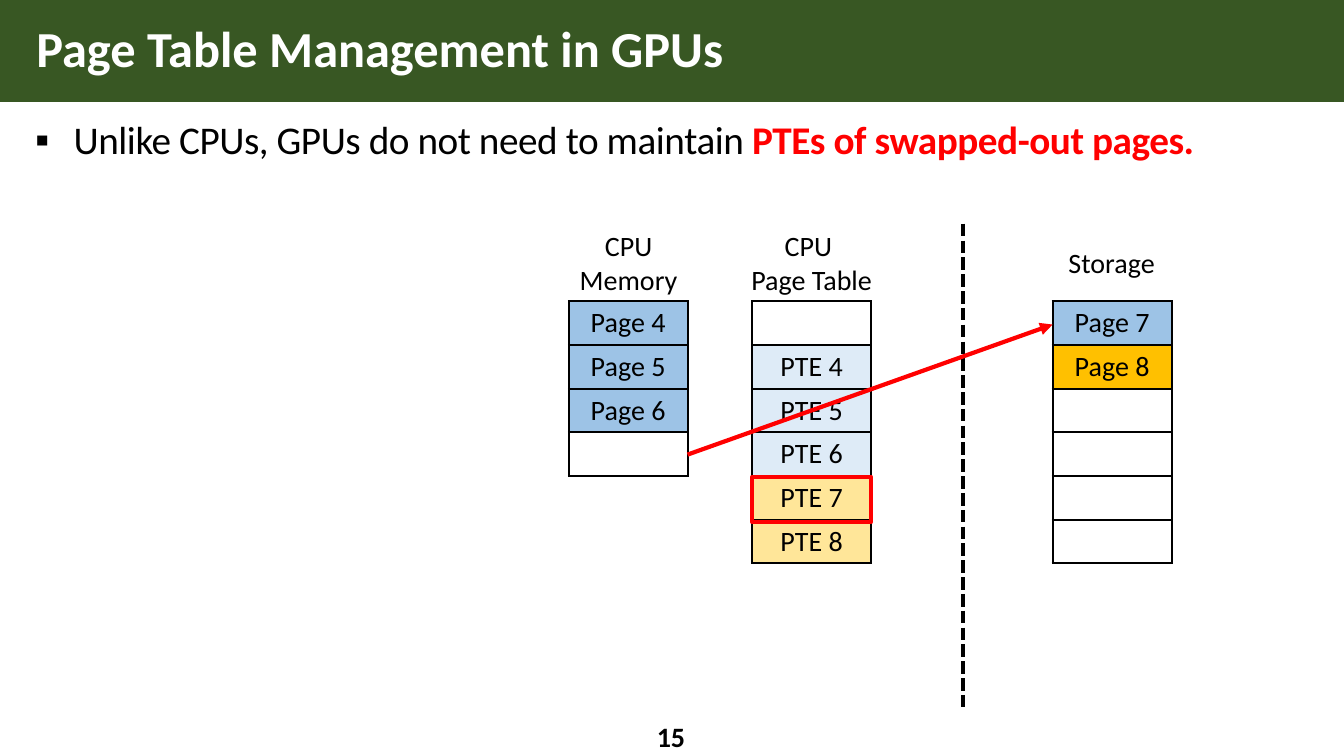
from dataclasses import dataclass

from lxml.etree import SubElement
from pptx import Presentation
from pptx.dml.color import RGBColor
from pptx.enum.dml import MSO_LINE
from pptx.enum.shapes import MSO_CONNECTOR, MSO_SHAPE
from pptx.enum.text import MSO_ANCHOR, MSO_AUTO_SIZE, PP_ALIGN
from pptx.oxml import parse_xml
from pptx.oxml.ns import nsdecls, qn
from pptx.util import Inches, Pt

COLORS = {
    "banner": "385723", "white": "FFFFFF", "black": "000000", "red": "FF0000",
    "page": "9DC3E6", "new_page": "FFC000", "pte": "DEEBF7", "swapped": "FFE699",
}
FONT = "Calibri"
TABLE_TOP, CELL_W, ROW_H = 2.99, 1.18, 2.6 / 6


@dataclass
class Label:
    lines: list[str]
    left: float
    top: float
    width: float
    height: float
    bold: bool = False
    anchor: MSO_ANCHOR = MSO_ANCHOR.TOP


@dataclass
class Column:
    left: float
    cells: list[tuple[str, str]]  # text, fill color name


EMPTY = ("", "white")
LABELS = [
    Label(["CPU Memory"], 5.6, 2.22, 1.27, 0.77),
    Label(["CPU ", "Page Table"], 7.31, 2.22, 1.48, 0.77),
    Label(["Storage"], 10.39, 2.39, 1.27, 0.44),
    Label(["15"], 5.93, 7.1, 1.45, 0.4, bold=True, anchor=MSO_ANCHOR.MIDDLE),
]
PAGE_TABLE = Column(7.46, [EMPTY] + [(f"PTE {n}", "pte") for n in (4, 5, 6)]
                    + [(f"PTE {n}", "swapped") for n in (7, 8)])
MEMORY = Column(5.64, [(f"Page {n}", "page") for n in (4, 5, 6)] + [EMPTY])
STORAGE = Column(10.44, [("Page 7", "page"), ("Page 8", "new_page")] + [EMPTY] * 4)


def rgb(name: str) -> RGBColor:
    return RGBColor.from_string(COLORS[name])


def add_text(p, text: str, *, size: float = 20, color: str = "black",
             bold: bool = False, align=None, spacing: int = 0) -> None:
    if align is not None:
        p.alignment = align
    r = p.add_run()
    r.text = text
    r.font.name, r.font.size, r.font.bold = FONT, Pt(size), bold
    r.font.color.rgb = rgb(color)
    if spacing:
        r.font._element.set("spc", str(spacing))


def place(sp, left: float, top: float, width: float, height: float) -> None:
    sp.left, sp.top = Inches(left), Inches(top)
    sp.width, sp.height = Inches(width), Inches(height)


def add_label(slide, label: Label) -> None:
    sp = slide.shapes.add_textbox(Inches(label.left), Inches(label.top),
                                  Inches(label.width), Inches(label.height))
    tf = sp.text_frame
    tf.word_wrap = True
    tf.vertical_anchor = label.anchor
    for i, line in enumerate(label.lines):
        p = tf.add_paragraph() if i else tf.paragraphs[0]
        add_text(p, line, bold=label.bold, align=PP_ALIGN.CENTER)


def add_borders(cell) -> None:
    tc_pr = cell._tc.get_or_add_tcPr()
    for i, side in enumerate(("lnL", "lnR", "lnT", "lnB")):
        tc_pr.insert(i, parse_xml(
            f'<a:{side} {nsdecls("a")} w="{Pt(1.5)}"><a:solidFill>'
            f'<a:srgbClr val="{COLORS["black"]}"/></a:solidFill></a:{side}>'))


def add_column(slide, column: Column) -> None:
    rows = len(column.cells)
    table = slide.shapes.add_table(
        rows, 1, Inches(column.left), Inches(TABLE_TOP),
        Inches(CELL_W), Inches(ROW_H * rows)).table
    table.first_row = table.horz_banding = False
    for i, (text, fill) in enumerate(column.cells):
        table.rows[i].height = Inches(ROW_H)
        cell = table.cell(i, 0)
        cell.margin_top = cell.margin_bottom = Inches(0.04)
        cell.vertical_anchor = MSO_ANCHOR.MIDDLE
        cell.fill.solid()
        cell.fill.fore_color.rgb = rgb(fill)
        add_borders(cell)
        if text:
            add_text(cell.text_frame.paragraphs[0], text, align=PP_ALIGN.CENTER)


def add_line(slide, start: tuple[float, float], end: tuple[float, float], *,
             color: str, dash=None, arrow: bool = False) -> None:
    line = slide.shapes.add_connector(
        MSO_CONNECTOR.STRAIGHT, *(Inches(v) for v in start + end))
    line.line.color.rgb = rgb(color)
    line.line.width = Pt(3)
    if dash is not None:
        line.line.dash_style = dash
    if arrow:
        SubElement(line.line._get_or_add_ln(), qn("a:tailEnd"), type="triangle")
    SubElement(line._element.spPr, qn("a:effectLst"))


def add_rect(slide, left: float, top: float, width: float, height: float, *,
             fill: str = "", line: str = ""):
    sp = slide.shapes.add_shape(MSO_SHAPE.RECTANGLE, Inches(left), Inches(top),
                                Inches(width), Inches(height))
    sp.shadow.inherit = False
    if fill:
        sp.fill.solid()
        sp.fill.fore_color.rgb = rgb(fill)
    else:
        sp.fill.background()
    if line:
        sp.line.color.rgb = rgb(line)
        sp.line.width = Pt(3)
    else:
        sp.line.fill.background()
    return sp


def add_heading(slide) -> None:
    # Banner goes behind the placeholders
    banner = add_rect(slide, 0, 0, 13.33, 1.01, fill="banner")
    slide.shapes._spTree.insert(2, banner._element)

    # Title
    title = slide.shapes.title
    place(title, 0.26, 0, 12.78, 1.01)
    tf = title.text_frame
    tf.auto_size = MSO_AUTO_SIZE.NONE
    tf.vertical_anchor = MSO_ANCHOR.MIDDLE
    p = tf.paragraphs[0]
    p.line_spacing = 0.9
    add_text(p, "Page Table Management in GPUs", size=36, color="white",
             bold=True, align=PP_ALIGN.LEFT)

    # Bullet
    body = slide.placeholders[1]
    place(body, 0.27, 1.12, 12.78, 5.77)
    tf = body.text_frame
    tf.auto_size = MSO_AUTO_SIZE.NONE
    tf.margin_left = tf.margin_top = Inches(0.08)
    tf.margin_right, tf.margin_bottom = Inches(0.04), 0
    p = tf.paragraphs[0]
    p.line_spacing, p.space_before = 0.9, Pt(12)
    p_pr = p._p.get_or_add_pPr()
    p_pr.set("marL", str(Inches(0.38)))
    p_pr.set("indent", str(-Inches(0.38)))
    SubElement(p_pr, qn("a:buFont"), typeface=FONT)
    SubElement(p_pr, qn("a:buChar"), char="▪")
    add_text(p, "Unlike CPUs, GPUs do not need to maintain ", size=28, spacing=-30)
    add_text(p, "PTEs of swapped-out pages.", size=28, color="red", bold=True,
             spacing=-30)


def main() -> None:
    prs = Presentation()
    prs.slide_width, prs.slide_height = Inches(13.33), Inches(7.5)
    slide = prs.slides.add_slide(prs.slide_layouts[1])
    add_heading(slide)

    # Memory, page table and storage
    for label in LABELS:
        add_label(slide, label)
    for column in (PAGE_TABLE, MEMORY, STORAGE):
        add_column(slide, column)

    # Divider, swap-out arrow and highlighted entry
    add_line(slide, (9.55, 2.22), (9.55, 7.06), color="black",
             dash=MSO_LINE.SQUARE_DOT)
    add_line(slide, (MEMORY.left + CELL_W, 4.51), (STORAGE.left, 3.22),
             color="red", arrow=True)
    add_rect(slide, PAGE_TABLE.left, 4.73, CELL_W, 0.45, line="red")
    prs.save("out.pptx")


if __name__ == "__main__":
    main()
